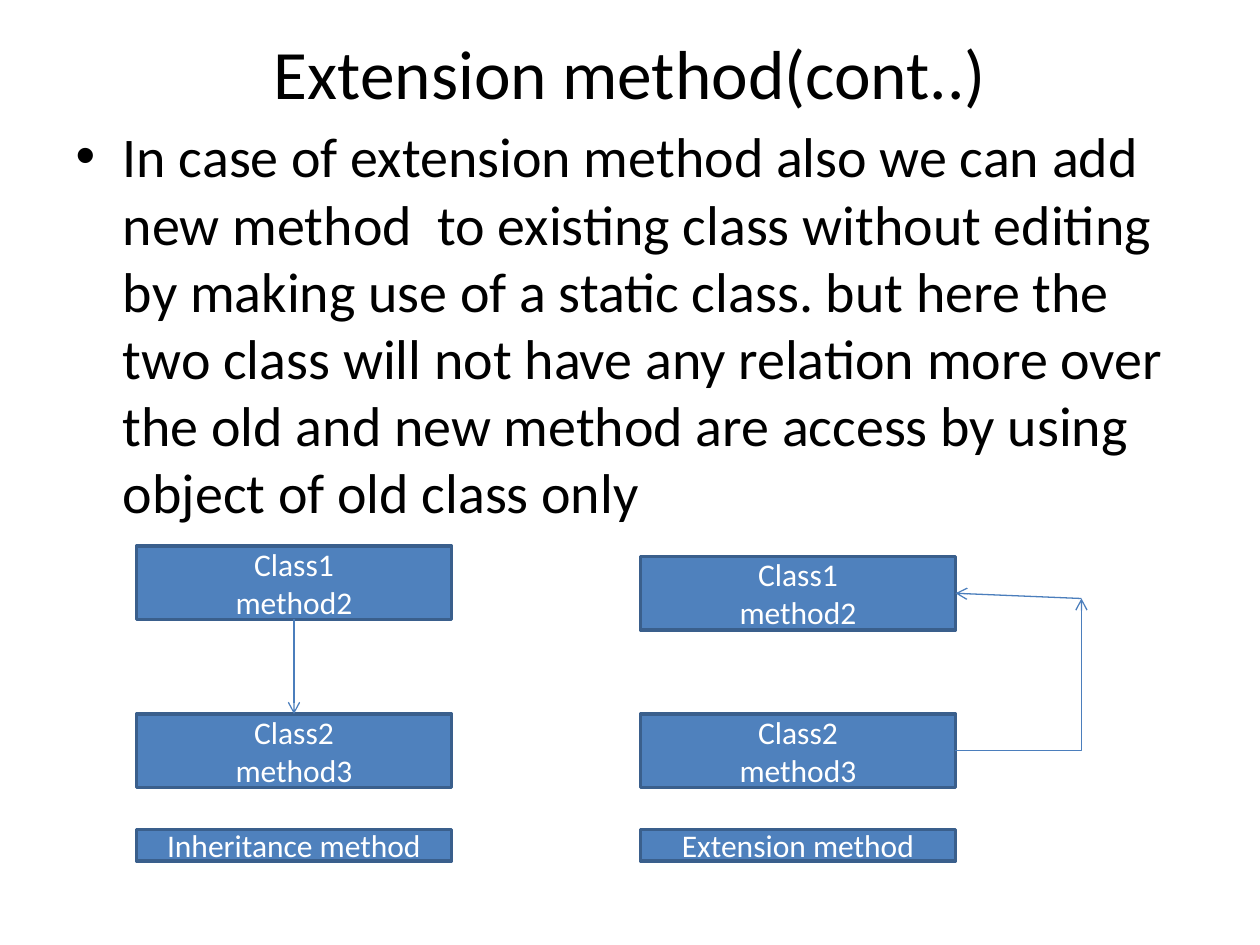
from dataclasses import dataclass

from lxml import etree
from pptx import Presentation
from pptx import util as u
from pptx.dml.color import RGBColor
from pptx.enum import shapes, text
from pptx.oxml import ns


@dataclass(frozen=True)
class Theme:
    font: str = "Calibri"
    ink: RGBColor = RGBColor(0x00, 0x00, 0x00)
    paper: RGBColor = RGBColor(0xFF, 0xFF, 0xFF)
    box_fill: RGBColor = RGBColor(0x4F, 0x81, 0xBD)
    box_border: RGBColor = RGBColor(0x3A, 0x5F, 0x8C)
    arrow: RGBColor = RGBColor(0x4B, 0x7E, 0xBC)
    title_size: float = 39.6
    body_size: float = 32
    box_size: float = 18
    border_width: float = 2
    arrow_width: float = 0.75


@dataclass(frozen=True)
class Box:
    column: float
    row: float
    rows: float
    lines: tuple[str, ...]


THEME = Theme()
WIDTH, HEIGHT = u.Inches(10), u.Inches(7.5)
COLUMNS, ROWS = 120, 90
BOX_COLUMNS, CLASS_ROWS, LABEL_ROWS = 30, 7, 3
LEFT, RIGHT = 13, 61
CLASS2_ROW, LABEL_ROW = 68, 79
TURN_COLUMN, TURN_ROW = 103, 57

TITLE = "Extension method(cont..)"
BODY = (
    "In case of extension method also we can add new method  to existing class "
    "without editing by making use of a static class. but here the two class will "
    "not have any relation more over the old and new method are access by using "
    "object of old class only"
)
CLASS1 = ("Class1", "method2")
CLASS2 = ("Class2", "method3")


def across(columns: float) -> int:
    return round(WIDTH * columns / COLUMNS)


def down(rows: float) -> int:
    return round(HEIGHT * rows / ROWS)


def add_run(paragraph, words: str, size: float, color: RGBColor) -> None:
    run = paragraph.add_run()
    run.text = words
    run.font.name = THEME.font
    run.font.size = u.Pt(size)
    run.font.color.rgb = color


def fill_placeholder(shape, row: float, rows: float, words: str, size: float) -> None:
    shape.left, shape.top = across(6), down(row)
    shape.width, shape.height = across(108), down(rows)
    shape.text_frame.auto_size = text.MSO_AUTO_SIZE.NONE
    add_run(shape.text_frame.paragraphs[0], words, size, THEME.ink)


def add_box(slide, box: Box):
    shape = slide.shapes.add_shape(
        shapes.MSO_SHAPE.RECTANGLE,
        across(box.column), down(box.row), across(BOX_COLUMNS), down(box.rows),
    )
    shape.shadow.inherit = False
    shape.fill.solid()
    shape.fill.fore_color.rgb = THEME.box_fill
    shape.line.color.rgb = THEME.box_border
    shape.line.width = u.Pt(THEME.border_width)
    frame = shape.text_frame
    frame.word_wrap = True
    frame.vertical_anchor = text.MSO_ANCHOR.MIDDLE
    for index, line in enumerate(box.lines):
        paragraph = frame.add_paragraph() if index else frame.paragraphs[0]
        paragraph.alignment = text.PP_ALIGN.CENTER
        add_run(paragraph, line, THEME.box_size, THEME.paper)
    return shape


def add_arrow(slide, start: tuple[float, float], end: tuple[float, float],
              kind=shapes.MSO_CONNECTOR.STRAIGHT):
    connector = slide.shapes.add_connector(
        kind, across(start[0]), down(start[1]), across(end[0]), down(end[1])
    )
    connector.line.color.rgb = THEME.arrow
    connector.line.width = u.Pt(THEME.arrow_width)
    properties = connector._element.spPr
    etree.SubElement(properties.find(ns.qn("a:ln")), ns.qn("a:tailEnd"), type="arrow")
    etree.SubElement(properties, ns.qn("a:effectLst"))
    return connector


def main() -> None:
    presentation = Presentation()
    presentation.slide_width, presentation.slide_height = WIDTH, HEIGHT
    slide = presentation.slides.add_slide(presentation.slide_layouts[1])
    slide.background.fill.solid()
    slide.background.fill.fore_color.rgb = THEME.paper

    fill_placeholder(slide.shapes.title, 3.6, 6.4, TITLE, THEME.title_size)
    fill_placeholder(slide.placeholders[1], 11, 69.4, BODY, THEME.body_size)

    parent, child, extended, _ = [
        add_box(slide, box) for box in (
            Box(LEFT, 52, CLASS_ROWS, CLASS1),
            Box(LEFT, CLASS2_ROW, CLASS_ROWS, CLASS2),
            Box(RIGHT, 53, CLASS_ROWS, CLASS1),
            Box(RIGHT, CLASS2_ROW, CLASS_ROWS, CLASS2),
        )
    ]

    center = LEFT + BOX_COLUMNS / 2
    inheritance = add_arrow(slide, (center, 52 + CLASS_ROWS), (center, CLASS2_ROW))
    inheritance.begin_connect(parent, 2)
    inheritance.end_connect(child, 0)

    edge = RIGHT + BOX_COLUMNS
    turn = (TURN_COLUMN, TURN_ROW)
    elbow = add_arrow(slide, (edge, CLASS2_ROW + CLASS_ROWS / 2), turn,
                      shapes.MSO_CONNECTOR.ELBOW)
    elbow._element.spPr.find(ns.qn("a:prstGeom")).set("prst", "bentConnector2")
    back = add_arrow(slide, turn, (edge, 53 + CLASS_ROWS / 2))
    back.end_connect(extended, 3)

    for column, label in ((LEFT, "Inheritance method"), (RIGHT, "Extension method")):
        add_box(slide, Box(column, LABEL_ROW, LABEL_ROWS, (label,)))

    presentation.save("out.pptx")


if __name__ == "__main__":
    main()
